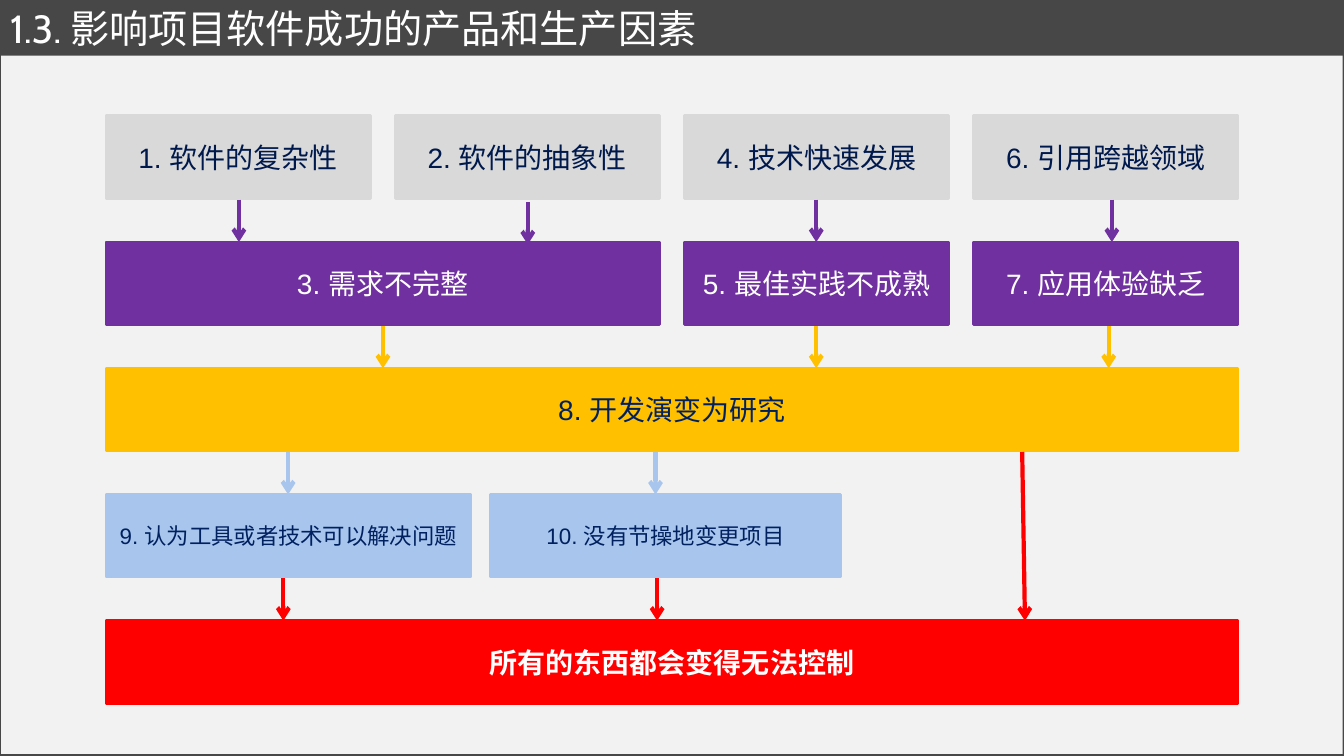
import pptx
import pptx.util
import pptx.dml.color
import pptx.enum.shapes
import pptx.enum.text
import pptx.oxml
import pptx.oxml.ns

Cm = pptx.util.Cm
Pt = pptx.util.Pt
RGBColor = pptx.dml.color.RGBColor
ALIGN = pptx.enum.text.PP_ALIGN
MIDDLE = pptx.enum.text.MSO_ANCHOR.MIDDLE

DARK = RGBColor(0x47, 0x47, 0x47)
PALE = RGBColor(0xF2, 0xF2, 0xF2)
GREY = RGBColor(0xD9, 0xD9, 0xD9)
PURPLE = RGBColor(0x70, 0x30, 0xA0)
GOLD = RGBColor(0xFF, 0xC0, 0x00)
BLUE = RGBColor(0xA7, 0xC5, 0xED)
RED = RGBColor(0xFF, 0x00, 0x00)
WHITE = RGBColor(0xFF, 0xFF, 0xFF)
INK = RGBColor(0x00, 0x19, 0x4C)
NAVY = RGBColor(0x00, 0x20, 0x60)

LEFT, TOP = 2.67, 2.92
STEP, PITCH = 7.29, 3.18
WIDE, HIGH = 6.66, 2.08
DOUBLE = STEP + WIDE
FULL = 3 * STEP + WIDE


class Chart:
    def __init__(self, slide):
        self.slide = slide
        self.font = "Arial"
        fill = slide.background.fill
        fill.solid()
        fill.fore_color.rgb = DARK

    def label(self, frame, text, size, color, font, align, bold=False):
        frame.word_wrap = True
        frame.vertical_anchor = MIDDLE
        para = frame.paragraphs[0]
        para.alignment = align
        run = para.add_run()
        run.text = text
        run.font.name = font
        run.font.size = Pt(size)
        run.font.bold = bold
        run.font.color.rgb = color

    def title(self, text):
        shape = self.slide.shapes.title
        shape.left, shape.top = Cm(0), Cm(0.03)
        shape.width, shape.height = Cm(33.87), Cm(1.35)
        shape.fill.solid()
        shape.fill.fore_color.rgb = DARK
        shape.line.color.rgb = DARK
        shape.line.width = Pt(0.75)
        frame = shape.text_frame
        frame.auto_size = pptx.enum.text.MSO_AUTO_SIZE.NONE
        frame.margin_top = frame.margin_bottom = 0
        self.label(frame, text, 28, WHITE, "Cabin", ALIGN.LEFT)

    def rect(self, x, y, wide, high, color):
        shape = self.slide.shapes.add_shape(
            pptx.enum.shapes.MSO_SHAPE.RECTANGLE, Cm(x), Cm(y), Cm(wide), Cm(high))
        shape.shadow.inherit = False
        shape.fill.solid()
        shape.fill.fore_color.rgb = color
        shape.line.fill.background()
        return shape

    def box(self, text, x, row, wide, fill, color, size=20, bold=False):
        shape = self.rect(x, TOP + row * PITCH, wide, HIGH, fill)
        shape.line.color.rgb = fill
        shape.line.width = Pt(2)
        frame = shape.text_frame
        frame.margin_left = frame.margin_right = Cm(0.1)
        self.label(frame, text, size, color, self.font, ALIGN.CENTER, bold)

    def arrow(self, x, row, color, rows=1, lean=0, drop=0):
        start = TOP + row * PITCH + HIGH + 0.03 + drop
        end = TOP + (row + rows) * PITCH + drop
        line = self.slide.shapes.add_connector(
            pptx.enum.shapes.MSO_CONNECTOR.STRAIGHT,
            Cm(x), Cm(start), Cm(x + lean), Cm(end))
        line.line.color.rgb = color
        line.line.width = Pt(3)
        props = line._element.spPr
        tail = pptx.oxml.parse_xml(
            '<a:tailEnd %s type="arrow"/>' % pptx.oxml.ns.nsdecls("a"))
        props.find(pptx.oxml.ns.qn("a:ln")).append(tail)
        none = pptx.oxml.parse_xml(
            "<a:effectLst %s/>" % pptx.oxml.ns.nsdecls("a"))
        props.append(none)


def main():
    deck = pptx.Presentation()
    deck.slide_width, deck.slide_height = Cm(33.87), Cm(19.05)
    chart = Chart(deck.slides.add_slide(deck.slide_layouts[5]))
    chart.rect(0.03, 1.4, 33.81, 17.6, PALE)
    chart.title("1.3. 影响项目软件成功的产品和生产因素")

    cols = [LEFT + i * STEP for i in range(4)]
    causes = ["1. 软件的复杂性", "2. 软件的抽象性", "4. 技术快速发展", "6. 引用跨越领域"]
    for x, text in zip(cols, causes):
        chart.box(text, x, 0, WIDE, GREY, INK)

    chart.box("3. 需求不完整", cols[0], 1, DOUBLE, PURPLE, WHITE)
    chart.box("5. 最佳实践不成熟", cols[2], 1, WIDE, PURPLE, WHITE)
    chart.box("7. 应用体验缺乏", cols[3], 1, WIDE, PURPLE, WHITE)
    chart.box("8. 开发演变为研究", LEFT, 2, FULL, GOLD, NAVY)
    chart.box("9. 认为工具或者技术可以解决问题", LEFT, 3, 9.2, BLUE, NAVY, 16)
    chart.box("10. 没有节操地变更项目", 12.37, 3, 8.81, BLUE, NAVY, 16)
    chart.box("所有的东西都会变得无法控制", LEFT, 4, FULL, RED, WHITE, bold=True)

    for x, drop in [(6.02, 0), (13.3, 0.06), (20.57, 0), (28.02, 0)]:
        chart.arrow(x, 0, PURPLE, drop=drop)
    for x in (9.65, 20.57, 27.94):
        chart.arrow(x, 1, GOLD)
    for x in (7.26, 16.52):
        chart.arrow(x, 2, BLUE)
    for x in (7.14, 16.56):
        chart.arrow(x, 3, RED)
    chart.arrow(25.76, 2, RED, rows=2, lean=0.07)

    deck.save("out.pptx")


if __name__ == "__main__":
    main()
